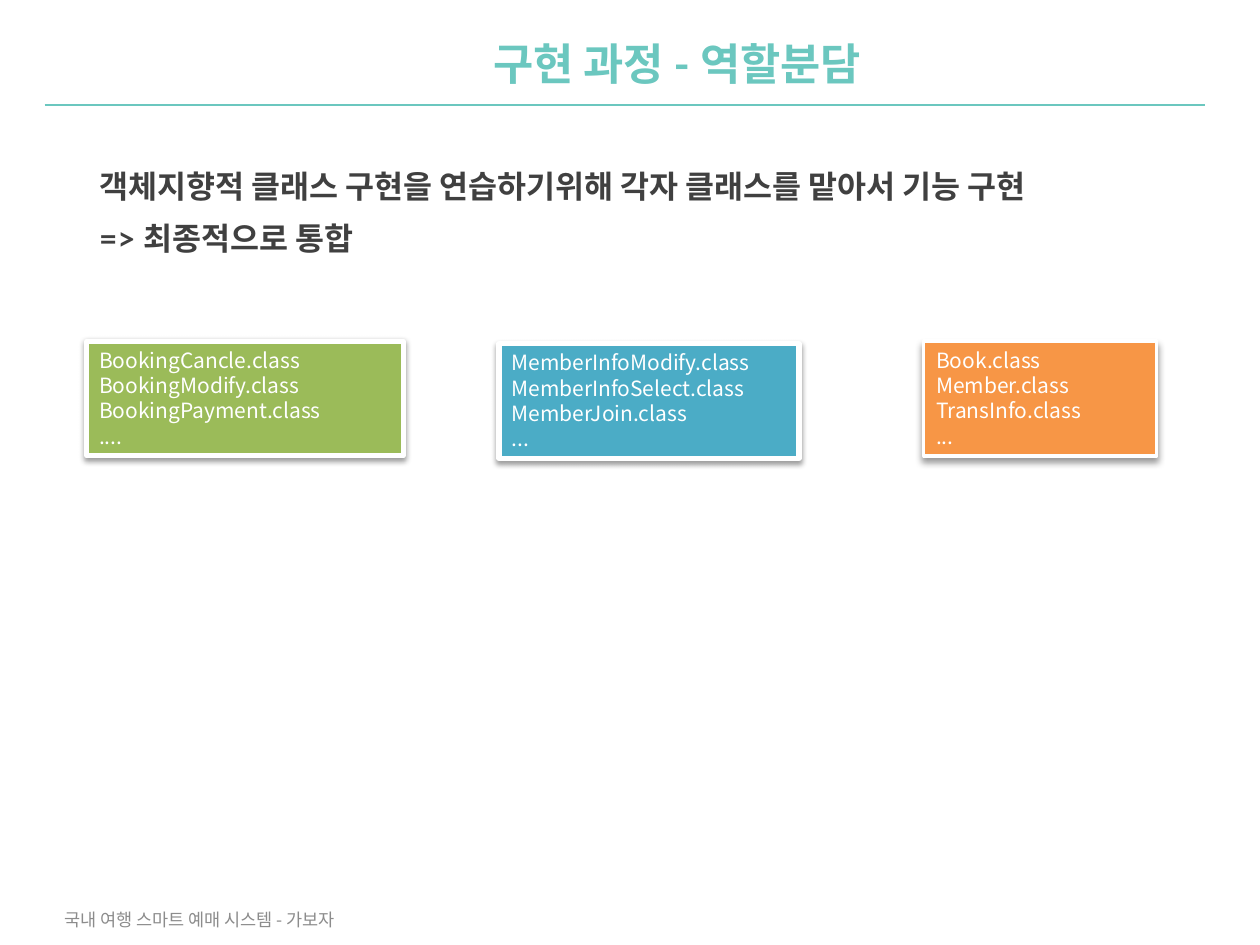
"""Build the role-sharing slide with its three class boxes."""
from lxml.etree import SubElement as Sub
from pptx import Presentation
from pptx.dml.color import RGBColor as RGB
from pptx.enum.shapes import MSO_CONNECTOR as Link, MSO_SHAPE as Kind
from pptx.enum.text import MSO_ANCHOR as Anchor, MSO_AUTO_SIZE as Fit, PP_ALIGN as Align
from pptx.oxml.ns import qn
from pptx.util import Cm, Pt

HUES = {"teal": "6BC7BF", "dark": "404040", "gray": "8C8C8C", "white": "FFFFFF",
        "green": "9BBB59", "blue": "4BACC6", "orange": "F79646", "black": "000000"}
NOTO = "Noto Sans CJK KR"


def tint(name):
    return RGB.from_string(HUES[name])


def write(shape, text, size=12, face=NOTO, hue="white", bold=False, align=Align.LEFT,
          anchor=Anchor.TOP, wrap=True, lead=None, gap=0):
    frame = shape.text_frame
    frame.text = text
    frame.word_wrap = wrap
    frame.auto_size = Fit.NONE
    frame.vertical_anchor = anchor
    for rank, para in enumerate(frame.paragraphs):
        para.alignment = align
        if lead:
            para.line_spacing = lead
        if rank and gap:
            para.space_before = Pt(gap)
        for run in para.runs:
            font = run.font
            font.size, font.name, font.bold = Pt(size), face, bold
            font.color.rgb = tint(hue)
            Sub(font._element, qn("a:ea"), typeface=NOTO)


deck = Presentation()
deck.slide_width, deck.slide_height = Cm(25.4), Cm(19.05)
slide = deck.slides.add_slide(deck.slide_layouts[5])
shapes = slide.shapes

rule = shapes.add_connector(Link.STRAIGHT, Cm(0.9), Cm(2.12), Cm(24.3), Cm(2.12))
rule.line.color.rgb = tint("teal")
rule.line.width = Pt(1)
Sub(rule._element.spPr, qn("a:effectLst"))

title = shapes.title
title.left, title.top, title.width, title.height = Cm(9.2), Cm(0.6), Cm(8.9), Cm(1.32)
write(title, "구현 과정 - 역할분담", size=25, face="Lato", hue="teal", bold=True,
      align=Align.CENTER, anchor=Anchor.MIDDLE, wrap=False)

cards = [
    (1.75, 6.88, 6.38, "green", 3, (38, 3.1, 1.6),
     "BookingCancle.class\nBookingModify.class\nBookingPayment.class\n...."),
    (10.06, 6.93, 6.05, "blue", 3, (38, 3.1, 1.6),
     "MemberInfoModify.class\nMemberInfoSelect.class\nMemberJoin.class\n..."),
    (18.62, 6.88, 4.7, "orange", 2, (40, 4, 3),
     "Book.class\nMember.class\nTransInfo.class\n..."),
]
for left, top, width, hue, edge, (alpha, blur, drop), names in cards:
    card = shapes.add_shape(Kind.RECTANGLE, Cm(left), Cm(top), Cm(width), Cm(2.31))
    card.fill.solid()
    card.fill.fore_color.rgb = tint(hue)
    card.line.color.rgb = tint("white")
    card.line.width = Pt(edge)
    card.shadow.inherit = False
    shade = Sub(card._element.spPr.find(qn("a:effectLst")), qn("a:outerShdw"),
                blurRad=str(Pt(blur)), dist=str(Pt(drop)), dir="5400000", rotWithShape="0")
    tone = Sub(shade, qn("a:srgbClr"), val=HUES["black"])
    Sub(tone, qn("a:alpha"), val=str(alpha * 1000))
    write(card, names)

goal = shapes.add_textbox(Cm(1.75), Cm(3.33), Cm(22.15), Cm(2))
write(goal, "객체지향적 클래스 구현을 연습하기위해 각자 클래스를 맡아서 기능 구현\n=> 최종적으로 통합",
      size=18, face="Lato", hue="dark", bold=True, lead=0.9, gap=10)
hang = goal.text_frame.paragraphs[1]._p.get_or_add_pPr()
hang.set("marL", str(Cm(0.64)))
hang.set("indent", str(-Cm(0.64)))

foot = shapes.add_textbox(Cm(0), Cm(18.03), Cm(8.05), Cm(1.02))
write(foot, "국내 여행 스마트 예매 시스템 - 가보자", size=10, hue="gray",
      align=Align.CENTER, anchor=Anchor.MIDDLE)

deck.save("out.pptx")
